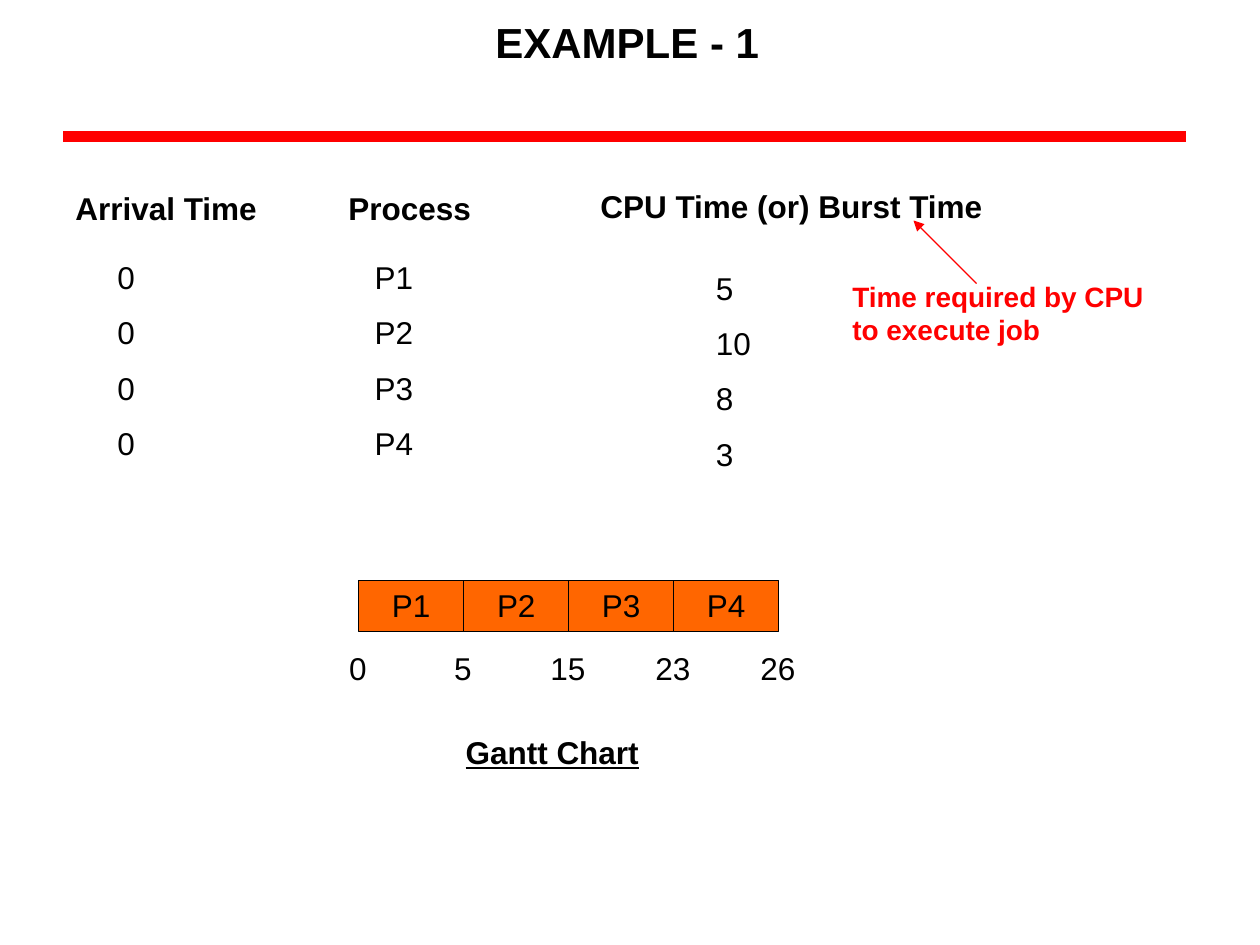
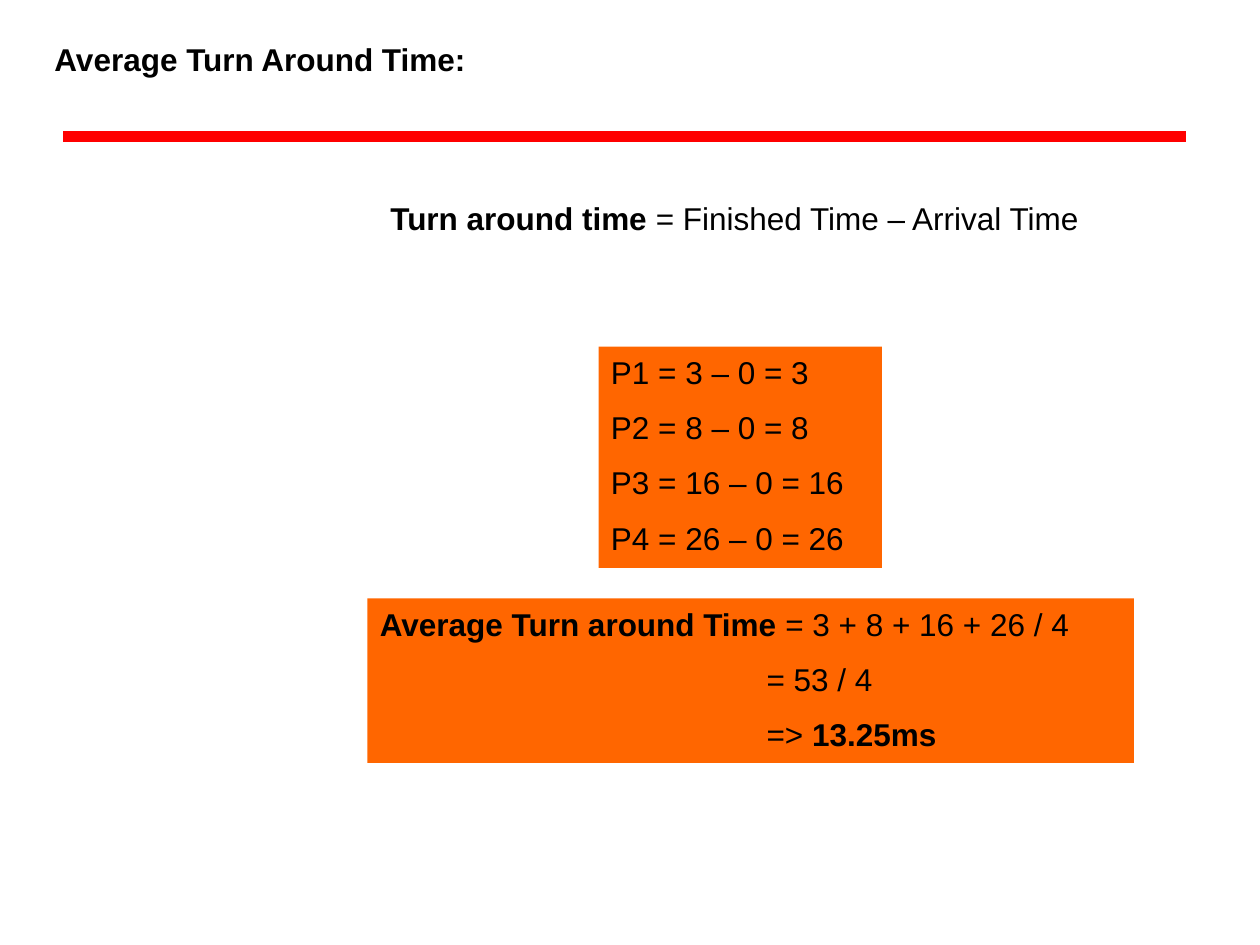
from lxml.etree import SubElement
from pptx import Presentation
from pptx.dml.color import RGBColor
from pptx.enum.shapes import MSO_CONNECTOR, MSO_SHAPE
from pptx.enum.text import MSO_ANCHOR, PP_ALIGN
from pptx.oxml.ns import qn
from pptx.util import Pt

FONT = "Arial"
BLACK, RED, ORANGE = "000000", "FF0000", "FF6600"
LINE_GAP = 10


def rgb(value):
    return RGBColor.from_string(value)


def write(sp, lines, size=18, color=BLACK, bold=False, underline=None,
          align=PP_ALIGN.LEFT, hang=0):
    tf = sp.text_frame
    tf.word_wrap = True
    tf.vertical_anchor = MSO_ANCHOR.TOP
    for i, line in enumerate(lines):
        p = tf.paragraphs[0] if i == 0 else tf.add_paragraph()
        p.alignment = align
        if i:
            p.space_before = Pt(LINE_GAP)
            if hang:
                p._p.get_or_add_pPr().set("marL", str(Pt(hang)))
        runs = [(line, bold)] if isinstance(line, str) else line
        for text, heavy in runs:
            r = p.add_run()
            r.text = text
            r.font.name = FONT
            r.font.size = Pt(size)
            r.font.bold = heavy
            r.font.underline = underline
            r.font.color.rgb = rgb(color)


def text_box(s, x, y, w, h, lines, **fmt):
    sp = s.shapes.add_textbox(Pt(x), Pt(y), Pt(w), Pt(h))
    write(sp, lines, **fmt)


def panel(s, x, y, w, h, lines, outline=None, **fmt):
    sp = s.shapes.add_shape(MSO_SHAPE.RECTANGLE, Pt(x), Pt(y), Pt(w), Pt(h))
    sp.shadow.inherit = False
    sp.fill.solid()
    sp.fill.fore_color.rgb = rgb(ORANGE)
    if outline:
        sp.line.color.rgb = rgb(outline)
        sp.line.width = Pt(0.75)
    else:
        sp.line.fill.background()
    write(sp, lines, **fmt)


def red_line(s, x1, y1, x2, y2, width, arrow=False):
    cx = s.shapes.add_connector(MSO_CONNECTOR.STRAIGHT, Pt(x1), Pt(y1), Pt(x2), Pt(y2))
    cx.line.color.rgb = rgb(RED)
    cx.line.width = Pt(width)
    if arrow:
        SubElement(cx.line._get_or_add_ln(), qn("a:tailEnd"), type="triangle")
    SubElement(cx._element.spPr, qn("a:effectLst"))


def base_slide(prs, title, x, y, w, h, size):
    s = prs.slides.add_slide(prs.slide_layouts[6])
    red_line(s, 36, 78, 678, 78, 6)
    text_box(s, x, y, w, h, [title], size=size, bold=True)
    return s


def process_column(s, x, y, w, heading, values, indent, drop):
    text_box(s, x, y, w, 29, [heading], bold=True)
    text_box(s, x + indent, y + drop, 48, 127, values)


def burst_note(s, x, y):
    text_box(s, x, y, 198, 46, ["Time required by CPU to execute job"],
             size=16, color=RED, bold=True)
    red_line(s, x + 78, y + 6, x + 42, y - 30, 0.75, arrow=True)


def gantt_chart(s, x, y, jobs, times):
    cell_w, cell_h, tick_w = 60, 29.5, 36
    for i, job in enumerate(jobs):
        panel(s, x + i * cell_w, y, cell_w, cell_h, [job],
              outline=BLACK, align=PP_ALIGN.CENTER)
    for i, time in enumerate(times):
        text_box(s, x + i * cell_w - tick_w / 2 - 0.5, y + 36, tick_w, 29, [time],
                 align=PP_ALIGN.CENTER)
    text_box(s, x + 54, y + 84, 120, 29, ["Gantt Chart"], bold=True, underline=True)


def example_slide(prs):
    jobs = ["P1", "P2", "P3", "P4"]
    s = base_slide(prs, "EXAMPLE - 1", 276, 6, 204, 36, 24)
    process_column(s, 36, 104.5, 150, "Arrival Time", ["0"] * 4, 24, 39.5)
    process_column(s, 192, 104.5, 96, "Process", jobs, 15, 39.5)
    process_column(s, 336, 103.5, 270, "CPU Time (or) Burst Time",
                   ["5", "10", "8", "3"], 66, 46.5)
    burst_note(s, 480, 156)
    gantt_chart(s, 205, 331.5, jobs, ["0", "5", "15", "23", "26"])


def turnaround_slide(prs):
    s = base_slide(prs, "Average Turn Around Time:", 24, 19.5, 264, 29, 18)
    text_box(s, 216, 110, 414, 29,
             [[("Turn around time", True), (" = Finished Time – Arrival Time", False)]])
    finished = [3, 8, 16, 26]
    panel(s, 342, 198, 162, 126.5,
          [f"P{i} = {t} – 0 = {t}" for i, t in enumerate(finished, 1)])
    panel(s, 210, 342, 438, 94,
          [[("Average Turn around Time", True), (" = 3 + 8 + 16 + 26 / 4", False)],
           "= 53 / 4",
           [("=>", False), (" 13.25ms", True)]], hang=221)


def main():
    prs = Presentation()
    prs.slide_width, prs.slide_height = Pt(720), Pt(540)
    example_slide(prs)
    turnaround_slide(prs)
    prs.save("out.pptx")


if __name__ == "__main__":
    main()
